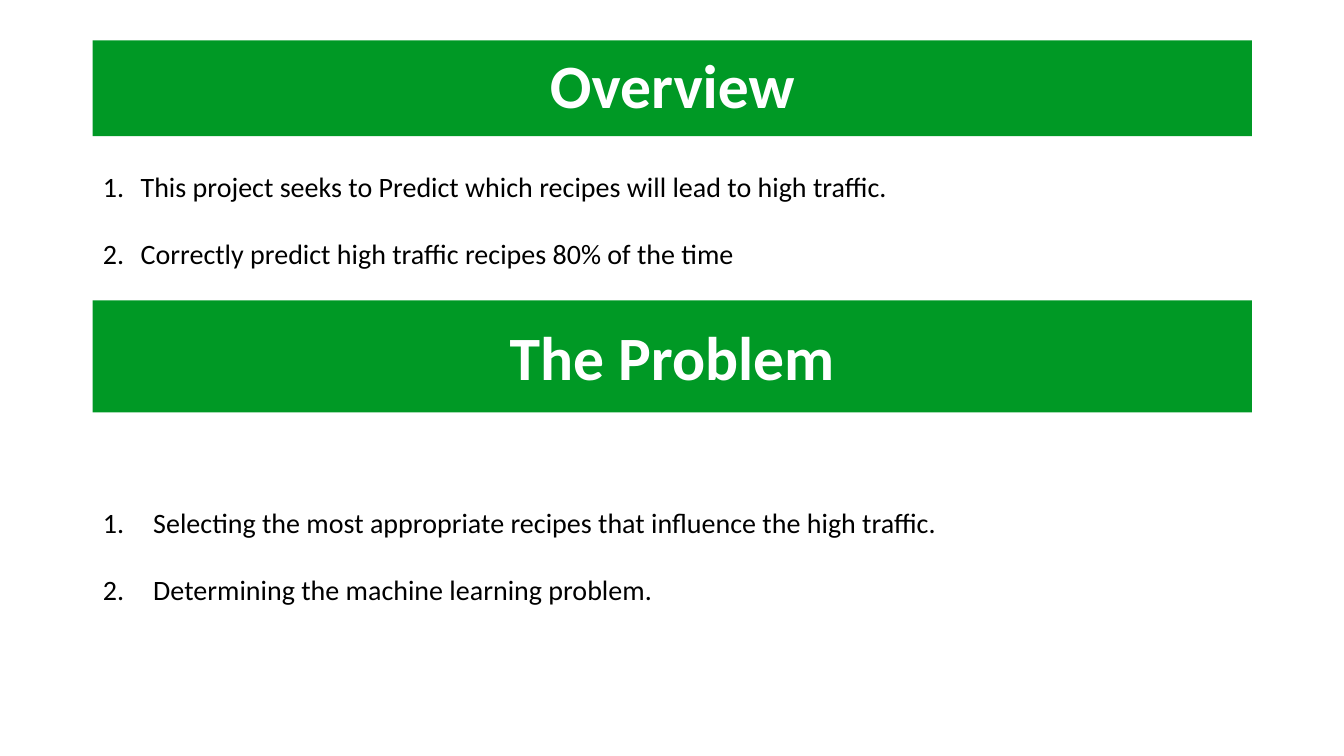
from lxml import etree
from pptx import Presentation
from pptx import util as u
from pptx.dml import color
from pptx.enum import shapes, text
from pptx.oxml import ns

COLORS = {"banner": "009925", "heading": "FFFFFF", "body": "000000"}
FONT = "Calibri"
LEFT, WIDTH = 66.24, 828


def place(shape, top, height):
    shape.left, shape.top = u.Pt(LEFT), u.Pt(top)
    shape.width, shape.height = u.Pt(WIDTH), u.Pt(height)
    shape.text_frame.word_wrap = True
    shape.text_frame.auto_size = text.MSO_AUTO_SIZE.NONE


def add_text(paragraph, words, size, color_name, bold):
    run = paragraph.add_run()
    run.text = words
    run.font.name = FONT
    run.font.size = u.Pt(size)
    run.font.bold = bold
    run.font.color.rgb = color.RGBColor.from_string(COLORS[color_name])


presentation = Presentation()
presentation.slide_width, presentation.slide_height = u.Pt(960), u.Pt(540)
slide = presentation.slides.add_slide(presentation.slide_layouts.get_by_name("Two Content"))
title = slide.shapes.title
overview_list, problem_list = slide.placeholders[1], slide.placeholders[2]

# Green heading banners
problem_banner = slide.shapes.add_shape(
    shapes.MSO_SHAPE.RECTANGLE, u.Pt(LEFT), u.Pt(214.56), u.Pt(WIDTH), u.Pt(80))
problem_banner.shadow.inherit = False
banners = [
    (title, "Overview", 28.8, 68.4, 0.9),
    (problem_banner, "The Problem", 214.56, 80, 1.0),
]
for banner, heading, top, height, line_spacing in banners:
    place(banner, top, height)
    banner.fill.solid()
    banner.fill.fore_color.rgb = color.RGBColor.from_string(COLORS["banner"])
    banner.line.fill.background()
    frame = banner.text_frame
    frame.vertical_anchor = text.MSO_ANCHOR.MIDDLE
    frame.margin_left = frame.margin_right = u.Pt(5)
    frame.margin_top = frame.margin_bottom = u.Pt(5)
    paragraph = frame.paragraphs[0]
    paragraph.alignment = text.PP_ALIGN.CENTER
    paragraph.line_spacing = line_spacing
    add_text(paragraph, heading, 44, "heading", True)

# Numbered lists
lists = [
    (overview_list, 117.36, 27, [
        "This project seeks to Predict which recipes will lead to high traffic.",
        "Correctly predict high traffic recipes 80% of the time",
    ]),
    (problem_list, 357.12, 36, [
        "Selecting the most appropriate recipes that influence the high traffic.",
        "Determining the machine learning problem.",
    ]),
]
for placeholder, top, indent, items in lists:
    place(placeholder, top, 80)
    frame = placeholder.text_frame
    frame.vertical_anchor = text.MSO_ANCHOR.TOP
    for index, item in enumerate(items):
        paragraph = frame.add_paragraph() if index else frame.paragraphs[0]
        paragraph.space_before = u.Pt(24 if index else 0)
        paragraph.space_after = u.Pt(0)
        add_text(paragraph, item, 20, "body", False)
        properties = paragraph._p.get_or_add_pPr()
        properties.set("marL", str(u.Pt(indent)))
        properties.set("indent", str(-u.Pt(indent)))
        etree.SubElement(properties, ns.qn("a:buFont"), typeface=FONT)
        etree.SubElement(properties, ns.qn("a:buAutoNum"), type="arabicPeriod")

presentation.save("out.pptx")
